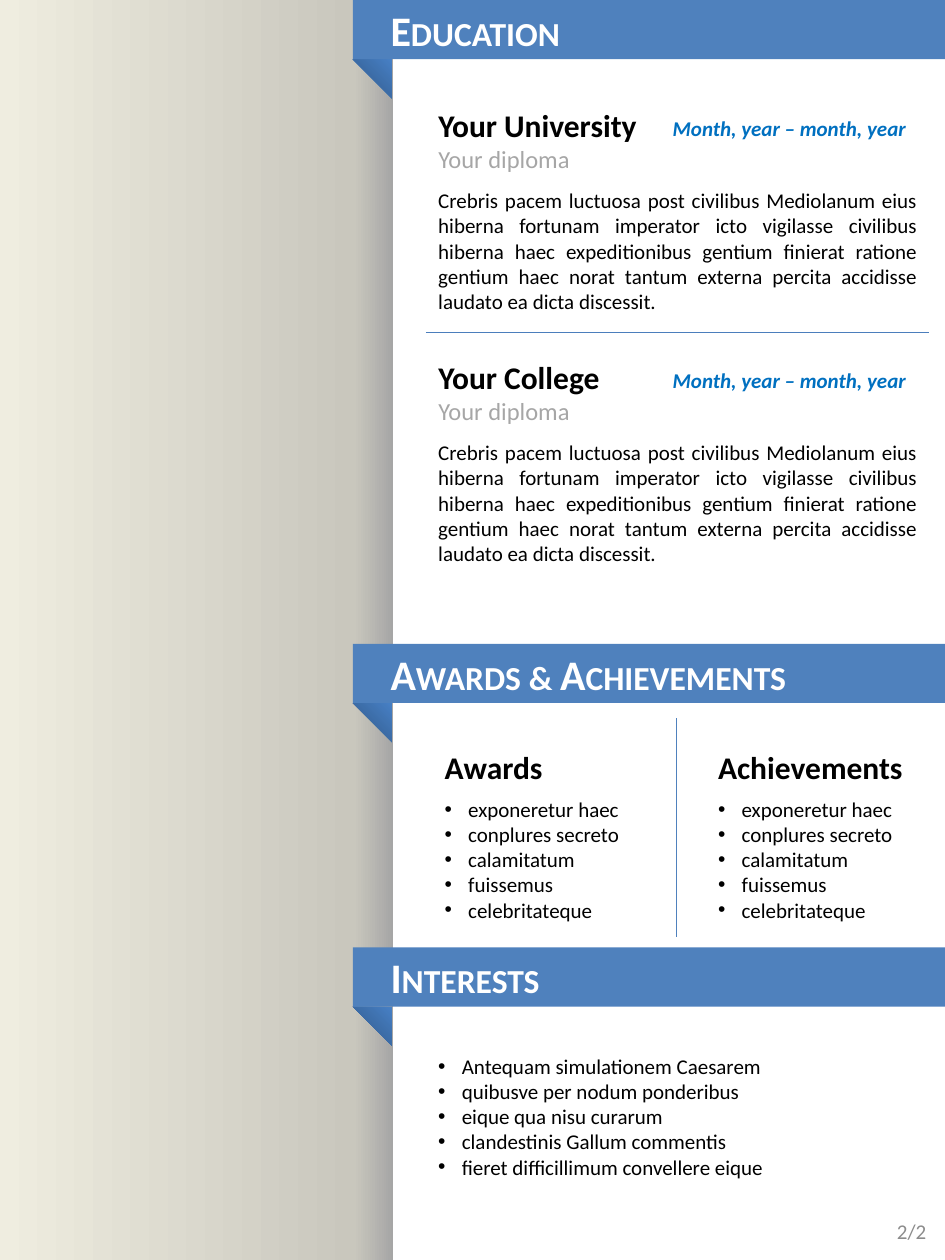
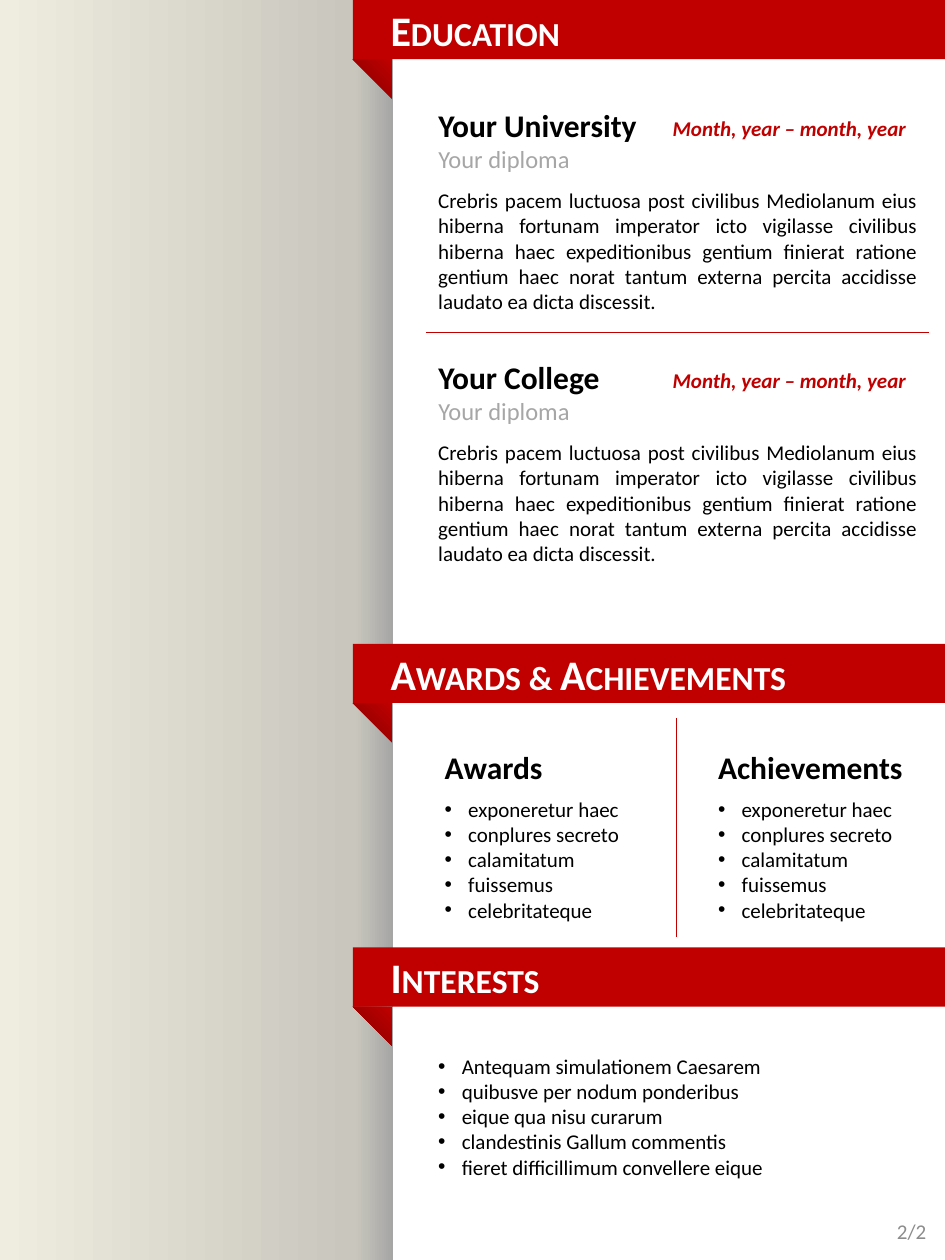
from dataclasses import dataclass
from typing import NamedTuple

from lxml import etree
from pptx import Presentation
from pptx.dml.color import RGBColor
from pptx.enum.shapes import MSO_CONNECTOR as Link, MSO_SHAPE as Form
from pptx.enum.text import MSO_ANCHOR as Anchor, MSO_AUTO_SIZE as Fit, PP_ALIGN as Align
from pptx.oxml import parse_xml
from pptx.oxml.ns import nsdecls, qn
from pptx.util import Emu, Inches, Pt

WIDE, TALL = Inches(7.5), Inches(10)
COLS, ROWS = 750, 1000
FONT = "Calibri"
BLACK, WHITE, GREY, PALE = "000000", "FFFFFF", "A6A6A6", "8C8C8C"
SIDE = [(0, "A6A6A6"), (10, "C9C7BD"), (100, "EFEDE0")]
LINEAR = '<a:lin ang="10800000" scaled="0"/>'
CORNER = '<a:path path="circle"><a:fillToRect t="100000" r="100000"/></a:path>'

BAND_X, BAND_H, FOLD = 280, 47, 31
TEXT_X, TEXT_W = 338, 400
LIST_H = 111


class Theme(NamedTuple):
    """Colours of one slide."""
    band: str
    rule: str
    date: str
    fold: list


@dataclass
class Band:
    """A ribbon title and its top row."""
    title: str
    top: int


@dataclass
class School:
    """A place of study, its top row and the width of its name."""
    name: str
    top: int
    width: int


@dataclass
class Column:
    """A titled list, its left column and the width of its title."""
    title: str
    left: int
    width: int


THEMES = [
    Theme("4F81BD", "4B7EBC", "0070C0", [(0, "2A4C75"), (50, "3C6CA6"), (100, "4780C5")]),
    Theme("C00000", "C00000", "C00000", [(0, "720000"), (50, "A20000"), (100, "C00000")]),
]
BANDS = [Band("Education", 0), Band("Awards & Achievements", 511), Band("Interests", 752)]
SCHOOLS = [School("Your University", 79, 179), School("Your College", 279, 149)]
COLUMNS = [Column("Awards", 343, 99), Column("Achievements", 560, 168)]
STORY = (
    "Crebris pacem luctuosa post civilibus Mediolanum eius hiberna fortunam "
    "imperator icto vigilasse civilibus hiberna haec expeditionibus gentium "
    "finierat ratione gentium haec norat tantum externa percita accidisse "
    "laudato ea dicta discessit."
)
PRIZES = "exponeretur haec\nconplures secreto\ncalamitatum\nfuissemus\ncelebritateque"
HOBBIES = (
    "Antequam simulationem Caesarem\nquibusve per nodum ponderibus\n"
    "eique qua nisu curarum\nclandestinis Gallum commentis\n"
    "fieret difficillimum convellere eique"
)


def col(count: float) -> Emu:
    """Turn grid columns into a length."""
    return Emu(round(WIDE * count / COLS))


def row(count: float) -> Emu:
    """Turn grid rows into a length."""
    return Emu(round(TALL * count / ROWS))


def area(left: float, top: float, width: float, height: float) -> tuple:
    """Turn a grid box into four lengths."""
    return col(left), row(top), col(width), row(height)


def tint(code: str) -> RGBColor:
    """Turn a hex string into a colour."""
    return RGBColor.from_string(code)


def write(frame, text: str, *, size: float = 12, hue: str = BLACK, bold: bool = False,
          slant: bool = False, align=Align.LEFT, caps: bool = False, dots: bool = False) -> None:
    """Add each line of the text to the frame as a paragraph."""
    for line in text.split("\n"):
        para = frame.add_paragraph() if frame.text else frame.paragraphs[0]
        para.alignment = align
        run = para.add_run()
        run.text = line
        font = run.font
        font.name, font.size, font.bold, font.italic = FONT, Pt(size), bold, slant
        font.color.rgb = tint(hue)
        if caps:
            run._r.get_or_add_rPr().set("cap", "small")
        if dots:
            props = para._p.get_or_add_pPr()
            props.set("marL", str(Pt(13.5)))
            props.set("indent", str(-Pt(13.5)))
            etree.SubElement(props, qn("a:buFont")).set("typeface", "Arial")
            etree.SubElement(props, qn("a:buChar")).set("char", "•")


def label(slide, box: tuple, wrap: bool = True, grow: bool = True):
    """Add an empty text box and return its frame."""
    frame = slide.shapes.add_textbox(*area(*box)).text_frame
    frame.word_wrap = wrap
    frame.auto_size = Fit.SHAPE_TO_FIT_TEXT if grow else Fit.NONE
    return frame


def block(shapes, form, box: tuple, hue: str = WHITE):
    """Add a flat shape without outline or shadow."""
    shape = shapes.add_shape(form, *area(*box))
    shape.shadow.inherit = False
    shape.line.fill.background()
    shape.fill.solid()
    shape.fill.fore_color.rgb = tint(hue)
    return shape


def shade(shape, stops: list, course: str) -> None:
    """Replace the fill of a shape with a gradient."""
    marks = "".join(
        f'<a:gs pos="{share * 1000}"><a:srgbClr val="{code}"/></a:gs>' for share, code in stops)
    blend = parse_xml(f'<a:gradFill {nsdecls("a")} rotWithShape="1">'
                      f'<a:gsLst>{marks}</a:gsLst>{course}</a:gradFill>')
    props = shape.element.spPr
    props.replace(props.find(qn("a:solidFill")), blend)


def rule(slide, start: tuple, end: tuple, hue: str) -> None:
    """Draw a thin line between two grid points."""
    line = slide.shapes.add_connector(
        Link.STRAIGHT, col(start[0]), row(start[1]), col(end[0]), row(end[1]))
    line.line.width = Pt(0.75)
    line.line.color.rgb = tint(hue)
    etree.SubElement(line.element.spPr, qn("a:effectLst"))


def ribbon(slide, band: Band, theme: Theme) -> None:
    """Draw a title band with its folded corner."""
    group = slide.shapes.add_group_shape()
    fold = block(group.shapes, Form.RIGHT_TRIANGLE, (BAND_X, band.top + BAND_H, FOLD, FOLD))
    shade(fold, theme.fold, CORNER)
    fold.rotation = 270
    fold.element.spPr.find(qn("a:xfrm")).set("flipH", "1")
    bar = block(group.shapes, Form.RECTANGLE,
                (BAND_X, band.top, COLS - BAND_X, BAND_H), theme.band)
    frame = bar.text_frame
    frame.margin_left = col(30)
    frame.vertical_anchor = Anchor.MIDDLE
    write(frame, band.title, size=24, hue=WHITE, bold=True, caps=True)


def study(slide, school: School, theme: Theme) -> None:
    """Write one school with its dates and story."""
    top = school.top
    head = label(slide, (TEXT_X, top, school.width, 64), wrap=False)
    write(head, school.name, size=18, bold=True)
    write(head, "Your diploma", size=14, hue=GREY)
    write(label(slide, (TEXT_X, top + 65, TEXT_W, LIST_H)), STORY, align=Align.JUSTIFY)
    write(label(slide, (521, top + 8, 208, 30), wrap=False), "Month, year – month, year",
          hue=theme.date, bold=True, slant=True, align=Align.RIGHT)


def listing(slide, box: tuple, text: str) -> None:
    """Write a bulleted list."""
    write(label(slide, box), text, align=Align.JUSTIFY, dots=True)


def page(deck, theme: Theme) -> None:
    """Build one slide in the colours of a theme."""
    slide = deck.slides.add_slide(deck.slide_layouts[6])
    shade(block(slide.shapes, Form.RECTANGLE, (0, 0, 312, ROWS)), SIDE, LINEAR)
    for band in BANDS:
        ribbon(slide, band, theme)
    for school in SCHOOLS:
        study(slide, school, theme)
    rule(slide, (TEXT_X, 264), (737, 264), theme.rule)
    for part in COLUMNS:
        write(label(slide, (part.left, 589, part.width, 40), wrap=False),
              part.title, size=18, bold=True)
        listing(slide, (part.left, 627, 172, LIST_H), PRIZES)
    rule(slide, (537, 570), (537, 744), theme.band)
    listing(slide, (TEXT_X, 831, TEXT_W, LIST_H), HOBBIES)
    foot = label(slide, (570, 951, 175, 53), grow=False)
    foot.vertical_anchor = Anchor.MIDDLE
    write(foot, "2/2", hue=PALE, align=Align.RIGHT)


deck = Presentation()
deck.slide_width, deck.slide_height = WIDE, TALL
for theme in THEMES:
    page(deck, theme)
deck.save("out.pptx")
